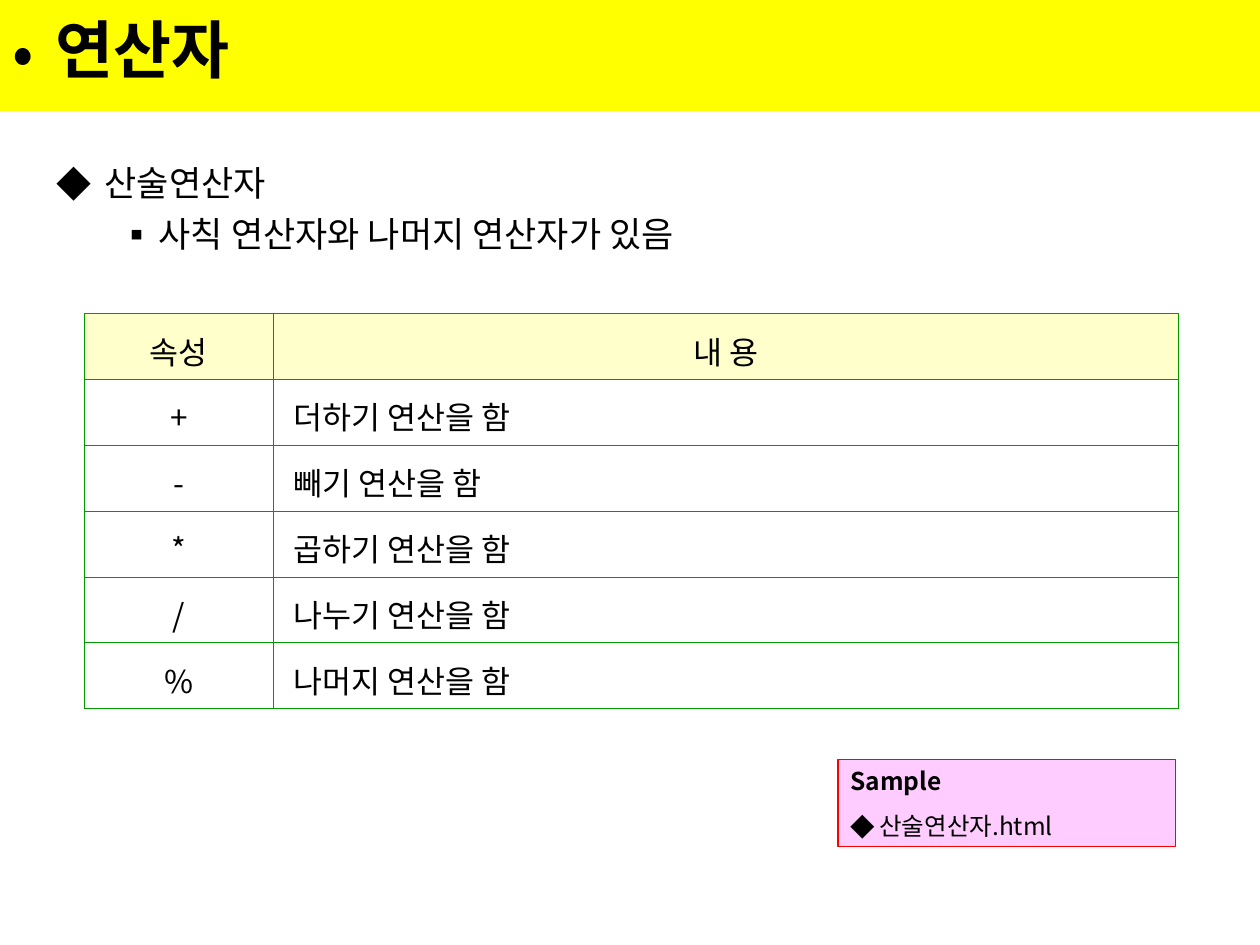
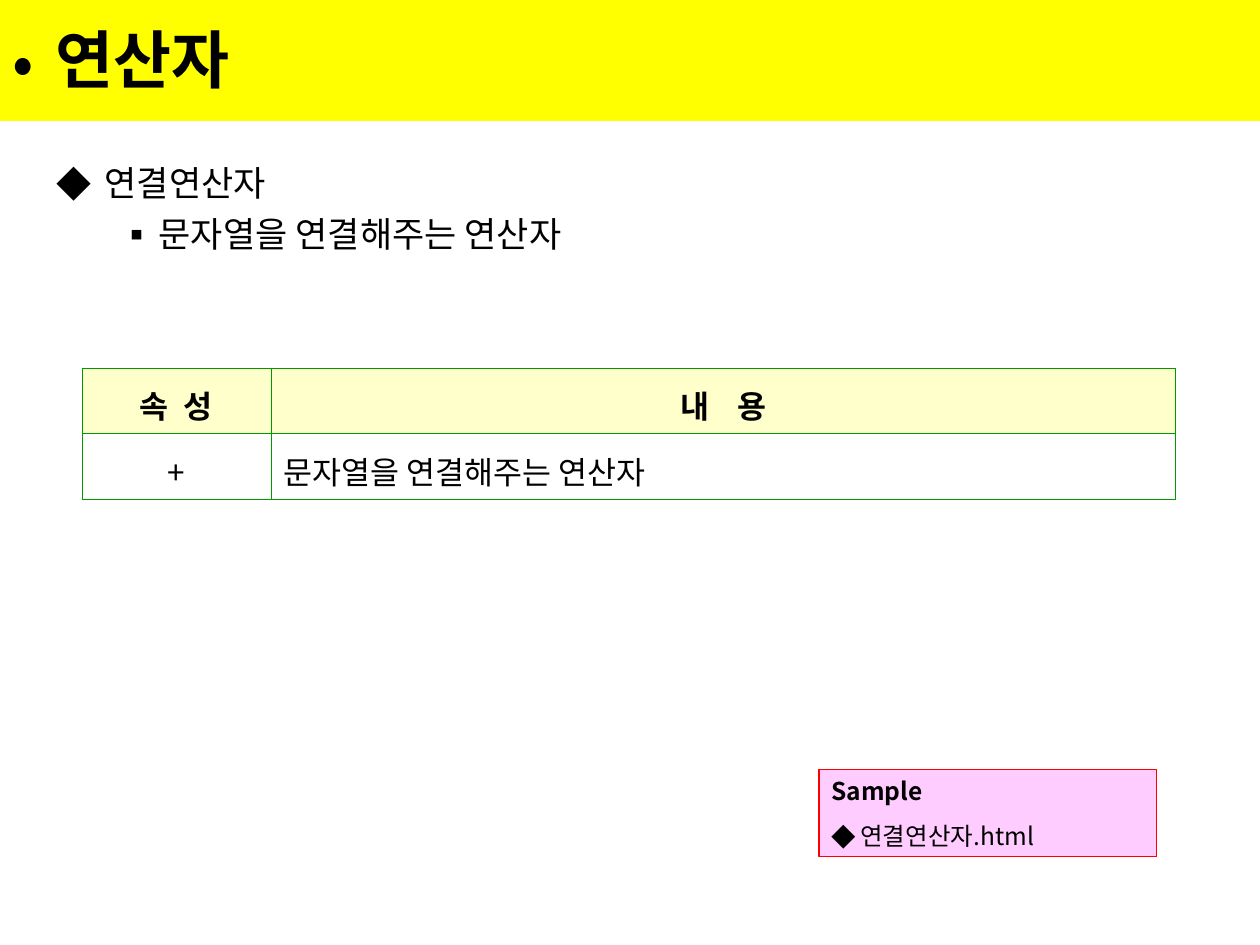
from pptx import Presentation
from pptx.dml.color import RGBColor
from pptx.enum.shapes import MSO_SHAPE
from pptx.enum.text import MSO_ANCHOR, MSO_AUTO_SIZE, PP_ALIGN
from pptx.oxml.ns import qn
from pptx.util import Inches, Pt
from lxml import etree

LEFT, CENTER = PP_ALIGN.LEFT, PP_ALIGN.CENTER
MIDDLE, TOP = MSO_ANCHOR.MIDDLE, MSO_ANCHOR.TOP

FONT = "Noto Sans CJK KR"
BLACK = RGBColor(0x00, 0x00, 0x00)
YELLOW = RGBColor(0xFF, 0xFF, 0x00)
CREAM = RGBColor(0xFF, 0xFF, 0xCC)
GREEN = RGBColor(0x00, 0x99, 0x00)
PINK = RGBColor(0xFF, 0xCC, 0xFF)
RED = RGBColor(0xFF, 0x00, 0x00)

SLIDE_WIDTH, SLIDE_HEIGHT = 10, 7.5
TITLE_HEIGHT = 0.99
BODY_BOX = (0.35, 1.23, 9, 4.95)
COLUMN_WIDTHS = (1.5, 7.18)
HEADER_HEIGHT, ROW_HEIGHT = 0.5, 0.41
SAMPLE_SIZE = (2.68, 0.69)

# Bullets: character, left margin and hanging indent in inches
TITLE_BULLET = ("•", 0.34, 0.34)
BODY_BULLETS = [("◆", 0.38, 0.38), ("▪", 0.81, 0.31)]
SAMPLE_BULLET = ("◆", 0.23, 0.23)

SLIDES = [
    {
        "title": "연산자",
        "title_top": -0.11,
        "body": ["산술연산자", "사칙 연산자와 나머지 연산자가 있음"],
        "table_at": (0.67, 2.49),
        "header": ["속성", "내 용"],
        "header_bold": False,
        "header_spacing": (0, 0),
        "text_margin": 0.16,
        "rows": [
            ("+", "더하기 연산을 함"),
            ("-", "빼기 연산을 함"),
            ("*", "곱하기 연산을 함"),
            ("/", "나누기 연산을 함"),
            ("%", "나머지 연산을 함"),
        ],
        "sample": "산술연산자.html",
        "sample_at": (6.65, 6.03),
    },
    {
        "title": "연산자",
        "title_top": -0.03,
        "body": ["연결연산자", "문자열을 연결해주는 연산자"],
        "table_at": (0.65, 2.92),
        "header": ["속 성", "내 용"],
        "header_bold": True,
        "header_spacing": (2.3, 6),
        "text_margin": 0.1,
        "rows": [("+", "문자열을 연결해주는 연산자")],
        "sample": "연결연산자.html",
        "sample_at": (6.5, 6.11),
    },
]


def inches(*lengths):
    return [Inches(length) for length in lengths]


def place(shape, *box):
    shape.left, shape.top, shape.width, shape.height = inches(*box)


def format_paragraph(paragraph, size, bold=False, align=LEFT, bullet=None, before=0):
    paragraph.alignment = align
    paragraph.space_before = Pt(before)
    if bullet:
        character, margin, hanging = bullet
        properties = paragraph._p.get_or_add_pPr()
        properties.set("marL", str(Inches(margin)))
        properties.set("indent", str(-Inches(hanging)))
        color = etree.SubElement(properties, qn("a:buClr"))
        etree.SubElement(color, qn("a:srgbClr"), val=str(BLACK))
        etree.SubElement(properties, qn("a:buFont"), typeface=FONT)
        etree.SubElement(properties, qn("a:buChar"), char=character)
    font = paragraph.font
    font.name, font.size, font.bold = FONT, Pt(size), bold
    font.color.rgb = BLACK
    latin = font._element.find(qn("a:latin"))
    latin.addnext(etree.Element(qn("a:ea"), typeface=FONT))


def add_title(slide, text, top):
    title = slide.shapes.title
    place(title, 0, top, SLIDE_WIDTH, TITLE_HEIGHT)
    title.fill.solid()
    title.fill.fore_color.rgb = YELLOW
    frame = title.text_frame
    frame.text = text
    frame.vertical_anchor = MIDDLE
    frame.auto_size = MSO_AUTO_SIZE.NONE
    format_paragraph(frame.paragraphs[0], 36, bold=True, bullet=TITLE_BULLET)


def add_body(slide, lines):
    body = slide.placeholders[1]
    place(body, *BODY_BOX)
    frame = body.text_frame
    frame.text = "\n".join(lines)
    frame.auto_size = MSO_AUTO_SIZE.NONE
    for level, paragraph in enumerate(frame.paragraphs):
        paragraph.level = level
        format_paragraph(paragraph, 20, bullet=BODY_BULLETS[level], before=5 * level)


def add_borders(cell):
    properties = cell._tc.get_or_add_tcPr()
    for side in ("lnL", "lnR", "lnT", "lnB"):
        line = etree.SubElement(properties, qn(f"a:{side}"), w=str(Pt(0.45)))
        fill = etree.SubElement(line, qn("a:solidFill"))
        etree.SubElement(fill, qn("a:srgbClr"), val=str(GREEN))


def add_operator_table(slide, content):
    rows = [content["header"], *content["rows"]]
    heights = [HEADER_HEIGHT] + [ROW_HEIGHT] * len(content["rows"])
    frame = slide.shapes.add_table(
        len(rows), len(COLUMN_WIDTHS),
        *inches(*content["table_at"], sum(COLUMN_WIDTHS), sum(heights)))
    table = frame.table
    table.first_row = table.horz_banding = False
    for column, width in zip(table.columns, COLUMN_WIDTHS):
        column.width = Inches(width)
    for row_index, (texts, height) in enumerate(zip(rows, heights)):
        table.rows[row_index].height = Inches(height)
        is_header = row_index == 0
        for column_index, text in enumerate(texts):
            cell = table.cell(row_index, column_index)
            is_description = column_index == 1 and not is_header
            cell.text = text
            cell.vertical_anchor = MIDDLE
            cell.margin_top = Inches(0.11)
            if is_description:
                cell.margin_left = Inches(content["text_margin"])
            add_borders(cell)
            if is_header:
                cell.fill.solid()
                cell.fill.fore_color.rgb = CREAM
            else:
                cell.fill.background()
            paragraph = cell.text_frame.paragraphs[0]
            format_paragraph(paragraph, 18, bold=is_header and content["header_bold"],
                             align=LEFT if is_description else CENTER)
            spacing = content["header_spacing"][column_index]
            if is_header and spacing:
                run_properties = paragraph.runs[0]._r.get_or_add_rPr()
                run_properties.set("spc", str(int(spacing * 100)))


def add_sample(slide, file_name, position):
    box = slide.shapes.add_shape(MSO_SHAPE.RECTANGLE, *inches(*position, *SAMPLE_SIZE))
    box.shadow.inherit = False
    box.fill.solid()
    box.fill.fore_color.rgb = PINK
    box.line.color.rgb = RED
    box.line.width = Pt(0.75)
    frame = box.text_frame
    frame.text = f"Sample\n{file_name}"
    frame.word_wrap = True
    frame.vertical_anchor = TOP
    frame.auto_size = MSO_AUTO_SIZE.SHAPE_TO_FIT_TEXT
    heading, entry = frame.paragraphs
    format_paragraph(heading, 14, bold=True)
    format_paragraph(entry, 14, bullet=SAMPLE_BULLET, before=8.8)


def main():
    presentation = Presentation()
    presentation.slide_width, presentation.slide_height = inches(SLIDE_WIDTH, SLIDE_HEIGHT)
    title_and_content = presentation.slide_layouts[1]
    for content in SLIDES:
        slide = presentation.slides.add_slide(title_and_content)
        add_title(slide, content["title"], content["title_top"])
        add_body(slide, content["body"])
        add_operator_table(slide, content)
        add_sample(slide, content["sample"], content["sample_at"])
    presentation.save("out.pptx")


if __name__ == "__main__":
    main()
